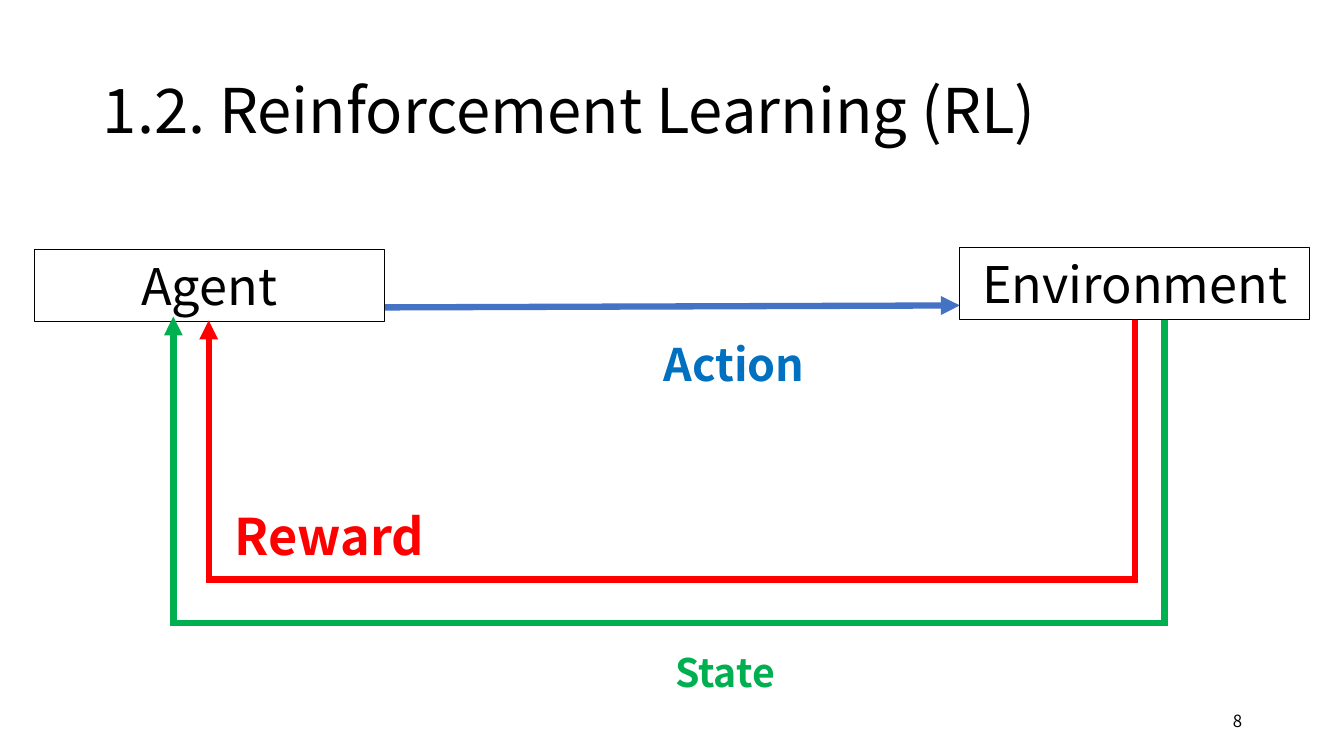
from lxml import etree
from pptx import Presentation
from pptx.dml.color import RGBColor
from pptx.enum.shapes import MSO_CONNECTOR, MSO_SHAPE
from pptx.enum.text import MSO_ANCHOR, MSO_AUTO_SIZE, PP_ALIGN
from pptx.oxml.ns import qn
from pptx.util import Inches, Pt

LEFT, CENTER, RIGHT = PP_ALIGN.LEFT, PP_ALIGN.CENTER, PP_ALIGN.RIGHT
TOP, MIDDLE = MSO_ANCHOR.TOP, MSO_ANCHOR.MIDDLE
NO_FIT = MSO_AUTO_SIZE.NONE
STRAIGHT, RECTANGLE = MSO_CONNECTOR.STRAIGHT, MSO_SHAPE.RECTANGLE
TITLE_ONLY = 5

COLORS = {
    "black": "000000",
    "white": "FFFFFF",
    "arrow": "4472C4",
    "action": "0070C0",
    "reward": "FF0000",
    "state": "00B050",
}


class DiagramPage:
    font_name = "Noto Sans CJK JP"
    arrow_width = Pt(4.5)
    border_width = Pt(0.75)

    def __init__(self, deck):
        self.width, self.height = deck.slide_width, deck.slide_height
        self.page = deck.slides.add_slide(deck.slide_layouts[TITLE_ONLY])
        self.shapes = self.page.shapes

    def point(self, across, down):
        return round(self.width * across / 100), round(self.height * down / 100)

    def frame(self, left, top, width, height):
        return *self.point(left, top), *self.point(width, height)

    def color(self, name):
        return RGBColor.from_string(COLORS[name])

    def fill_text(self, box, text, size, color="black", bold=False, align=CENTER,
                  anchor=TOP, line_spacing=1.0):
        frame = box.text_frame
        para = frame.paragraphs[0]
        span = para.add_run()
        formats = (
            (frame, {"word_wrap": True, "auto_size": NO_FIT, "vertical_anchor": anchor}),
            (para, {"alignment": align, "line_spacing": line_spacing}),
            (span, {"text": text}),
            (span.font, {"name": self.font_name, "size": Pt(size), "bold": bold}),
        )
        for target, values in formats:
            for name, value in values.items():
                setattr(target, name, value)
        span.font.color.rgb = self.color(color)

    def title(self, text, place):
        box = self.shapes.title
        for name, value in zip(("left", "top", "width", "height"), self.frame(*place)):
            setattr(box, name, value)
        self.fill_text(box, text, 44, align=LEFT, anchor=MIDDLE, line_spacing=0.9)

    def label(self, text, place, size, **style):
        self.fill_text(self.shapes.add_textbox(*self.frame(*place)), text, size, **style)

    def node(self, text, left, top):
        box = self.shapes.add_shape(RECTANGLE, *self.frame(left, top, 26.03, 9.47))
        box.shadow.inherit = False
        box.fill.solid()
        box.fill.fore_color.rgb = self.color("white")
        box.line.color.rgb = self.color("black")
        box.line.width = self.border_width
        self.fill_text(box, text, 36)

    def arrow_style(self, arrow, color):
        arrow.line.color.rgb = self.color(color)
        arrow.line.width = self.arrow_width
        outline = arrow.element.spPr.find(qn("a:ln"))
        etree.SubElement(outline, qn("a:miter"), lim="800000")
        etree.SubElement(outline, qn("a:tailEnd"), type="triangle")

    def straight_arrow(self, start, end, color):
        arrow = self.shapes.add_connector(STRAIGHT, *self.point(*start), *self.point(*end))
        self.arrow_style(arrow, color)
        etree.SubElement(arrow.element.spPr, qn("a:effectLst"))

    def bent_arrow(self, points, color):
        start, *corners = [self.point(*point) for point in points]
        builder = self.shapes.build_freeform(*start)
        builder.add_line_segments(corners, close=False)
        arrow = builder.convert_to_shape()
        arrow.fill.background()
        self.arrow_style(arrow, color)
        arrow.shadow.inherit = False


def main():
    deck = Presentation()
    deck.slide_width, deck.slide_height = Inches(13.33), Inches(7.5)
    diagram = DiagramPage(deck)

    diagram.title("1.2. Reinforcement Learning (RL)", (6.9, 5.33, 86.27, 19.33))
    diagram.label("8", (70.67, 92.67, 22.5, 5.33), 12, align=RIGHT, anchor=MIDDLE)

    diagram.straight_arrow((27.68, 40.67), (71.42, 40.4), "arrow")
    diagram.node("Agent", 2.55, 33.07)
    diagram.bent_arrow(
        [(84.47, 42.27), (84.47, 76.67), (15.53, 76.67), (15.53, 42.4)], "reward")
    diagram.bent_arrow(
        [(73.74, 37.07), (86.65, 37.07), (86.65, 82.4), (12.9, 82.4), (12.9, 41.87)],
        "state")
    diagram.node("Environment", 71.42, 32.8)

    labels = (
        ("State", (10.43, 85.07, 87.02, 7.6), 28),
        ("Action", (28.58, 43.87, 52.06, 8.53), 32),
        ("Reward", (15.9, 66.13, 17.25, 9.47), 36),
    )
    for text, place, size in labels:
        diagram.label(text, place, size, color=text.lower(), bold=True)

    deck.save("out.pptx")


if __name__ == "__main__":
    main()
